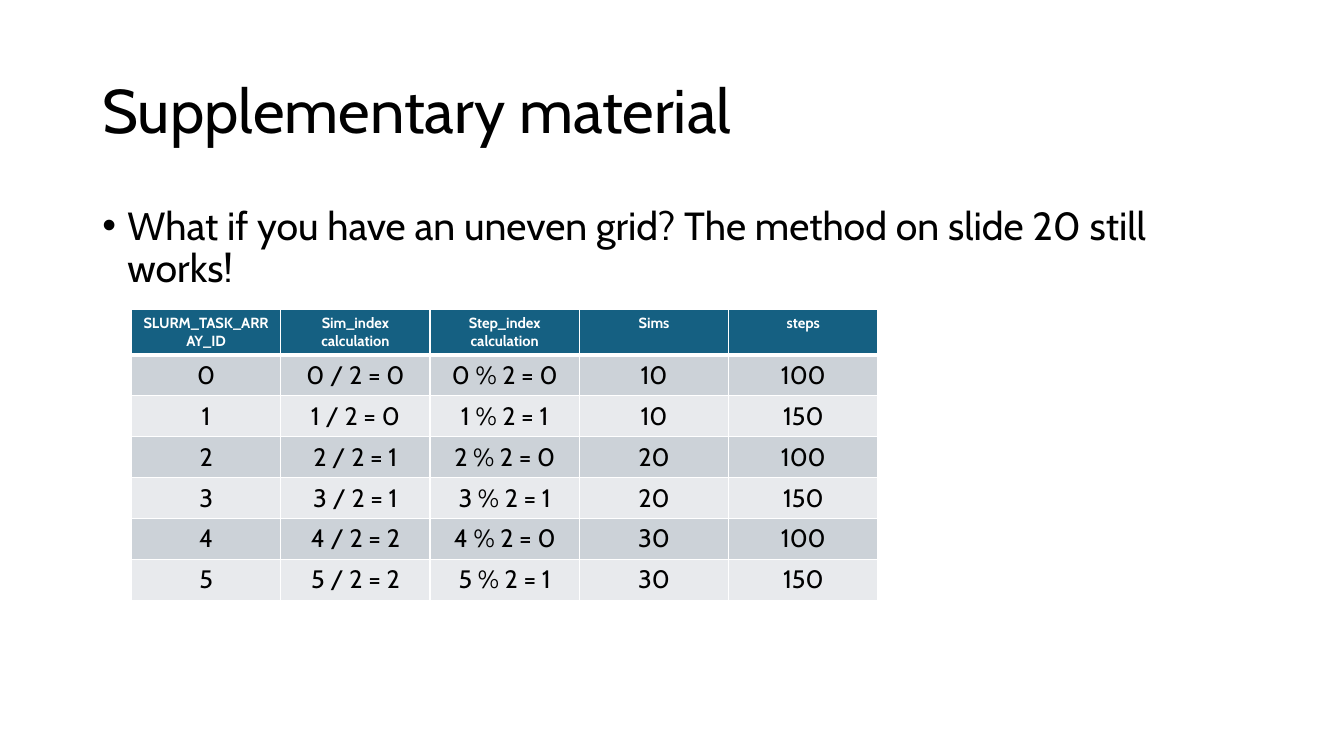
from dataclasses import dataclass

from lxml.etree import SubElement
from pptx import Presentation
from pptx.dml.color import RGBColor
from pptx.enum.text import MSO_ANCHOR, PP_ALIGN
from pptx.oxml import parse_xml
from pptx.oxml.ns import nsdecls, qn
from pptx.util import Pt


@dataclass(frozen=True)
class Theme:
    font: str = "Cabin"
    ink: str = "000000"
    white: str = "FFFFFF"
    header: str = "156082"
    bands: tuple = ("CCD2D8", "E8EAED")
    title_size: float = 44
    body_size: float = 28
    header_size: float = 10.5
    cell_size: float = 18
    rule: float = 1
    header_rule: float = 3


THEME = Theme()
HEADINGS = ["SLURM_TASK_ARRAY_ID", "Sim_index calculation",
            "Step_index calculation", "Sims", "steps"]
SIMS = [10, 20, 30]
STEPS = [100, 150]


def set_attributes(target, values):
    for name, value in values.items():
        setattr(target, name, value)


def write(paragraph, text, size, color, bold=False, **layout):
    run = paragraph.add_run()
    run.text = text
    set_attributes(run.font, {"name": THEME.font, "size": Pt(size), "bold": bold})
    run.font.color.rgb = RGBColor.from_string(color)
    set_attributes(paragraph, layout)


def add_text_box(slide, box, anchor):
    shape = slide.shapes.add_textbox(*(Pt(length) for length in box))
    set_attributes(shape.text_frame, {"word_wrap": True, "vertical_anchor": anchor})
    return shape.text_frame.paragraphs[0]


def add_title(slide, box, text):
    paragraph = add_text_box(slide, box, MSO_ANCHOR.MIDDLE)
    write(paragraph, text, THEME.title_size, THEME.ink, line_spacing=0.9)


def add_bullet(slide, box, text):
    paragraph = add_text_box(slide, box, MSO_ANCHOR.TOP)
    write(paragraph, text, THEME.body_size, THEME.ink,
          line_spacing=0.9, space_before=Pt(10))
    # Hanging bullet
    properties = paragraph._p.get_or_add_pPr()
    properties.set("marL", str(Pt(18)))
    properties.set("indent", str(-Pt(18)))
    SubElement(properties, qn("a:buFont")).set("typeface", "Arial")
    SubElement(properties, qn("a:buChar")).set("char", "•")


def set_borders(cell, top, bottom):
    widths = {"lnL": THEME.rule, "lnR": THEME.rule, "lnT": top, "lnB": bottom}
    properties = cell._tc.get_or_add_tcPr()
    for position, (tag, width) in enumerate(widths.items()):
        properties.insert(position, parse_xml(
            f'<a:{tag} {nsdecls("a")} w="{Pt(width)}"><a:solidFill>'
            f'<a:srgbClr val="{THEME.white}"/></a:solidFill></a:{tag}>'))


def add_index_table(slide, box, header_height):
    # Each task index maps to one pair of sims and steps
    count = len(STEPS)
    rows = [HEADINGS]
    for task in range(len(SIMS) * count):
        sim, step = divmod(task, count)
        rows.append([f"{task}", f"{task} / {count} = {sim}",
                     f"{task} % {count} = {step}", f"{SIMS[sim]}", f"{STEPS[step]}"])

    left, top, width, height = box
    table = slide.shapes.add_table(len(rows), len(HEADINGS), Pt(left), Pt(top),
                                   Pt(width), Pt(height)).table
    for column in table.columns:
        column.width = Pt(width / len(HEADINGS))
    row_height = (height - header_height) / (len(rows) - 1)

    for index, values in enumerate(rows):
        is_header = index == 0
        table.rows[index].height = Pt(header_height if is_header else row_height)
        fill = THEME.header if is_header else THEME.bands[(index - 1) % 2]
        size = THEME.header_size if is_header else THEME.cell_size
        color = THEME.white if is_header else THEME.ink
        top_rule = THEME.header_rule if index == 1 else THEME.rule
        bottom_rule = THEME.header_rule if is_header else THEME.rule
        for cell, value in zip(table.rows[index].cells, values):
            cell.fill.solid()
            cell.fill.fore_color.rgb = RGBColor.from_string(fill)
            set_borders(cell, top_rule, bottom_rule)
            write(cell.text_frame.paragraphs[0], value, size, color,
                  bold=is_header, alignment=PP_ALIGN.CENTER)


def main():
    presentation = Presentation()
    set_attributes(presentation, {"slide_width": Pt(960), "slide_height": Pt(540)})
    slide = presentation.slides.add_slide(presentation.slide_layouts[6])
    add_title(slide, (66, 28.75, 828, 104.38), "Supplementary material")
    add_bullet(slide, (66, 143.75, 828, 342.63),
               "What if you have an uneven grid? The method on slide 20 still works!")
    add_index_table(slide, (93.9, 221.2, 533.2, 207.4), header_height=32.2)
    presentation.save("out.pptx")


if __name__ == "__main__":
    main()
